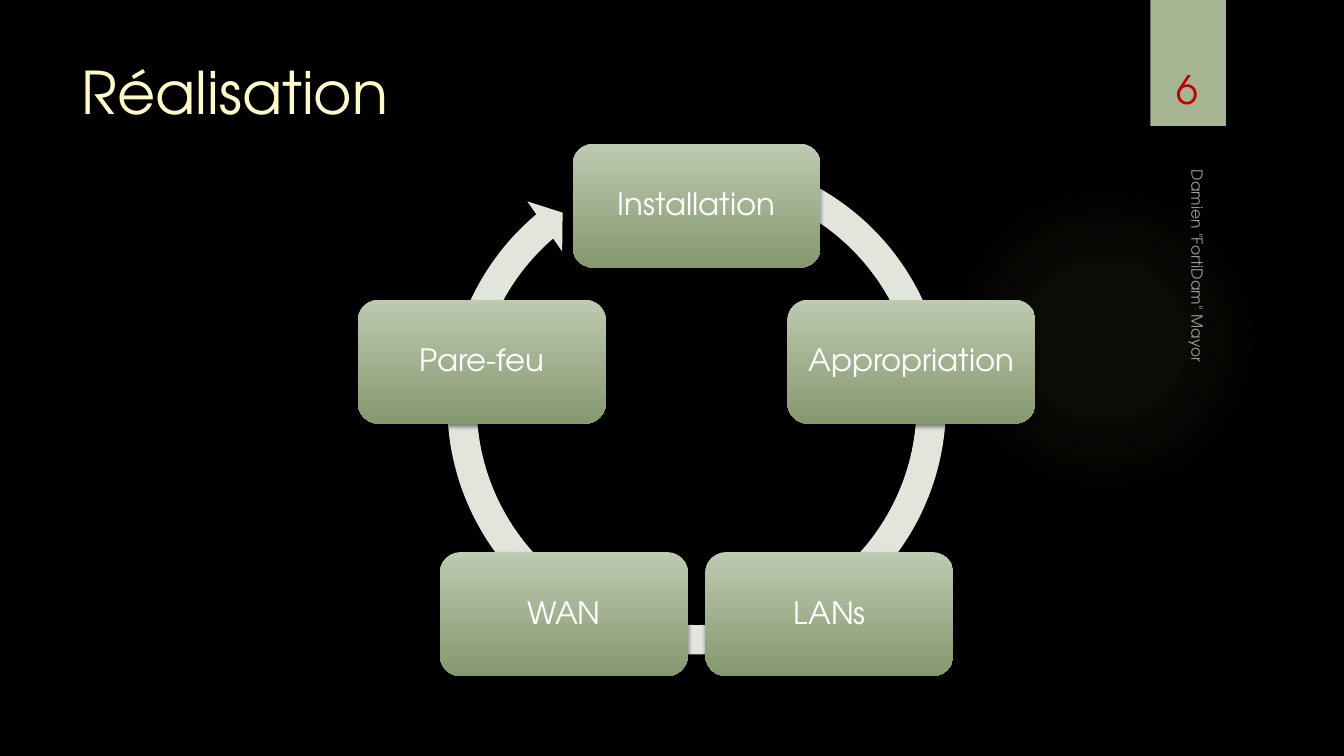
import math
import lxml.etree
import pptx
import pptx.util
import pptx.oxml
import pptx.oxml.ns
import pptx.dml.color
import pptx.enum.shapes
import pptx.enum.text

TITLE = "Réalisation"
AUTHOR = 'Damien "FortiDam" Mayor'
NUMBER = "6"
STEPS = ["Installation", "Appropriation", "LANs", "WAN", "Pare-feu"]

FONT = "TeX Gyre Adventor"
COLORS = {
    "background": "000000",
    "title": "FEFAC9",
    "white": "FFFFFF",
    "number": "C00000",
    "tab": "A5B592",
    "glow": "9EB160",
    "ring": "E1E5DC",
    "box_top": "BECAB1",
    "box_bottom": "85986E",
    "shadow": "000000",
}
CENTER_X, CENTER_Y, RADIUS = 6.91, 4.28, 2.24
BOX_W, BOX_H = 2.46, 1.23
RING_SIZE = 5.26
RING_TOP = 1.39

Inches = pptx.util.Inches
SHAPE = pptx.enum.shapes.MSO_SHAPE
ANCHOR = pptx.enum.text.MSO_ANCHOR
ALIGN = pptx.enum.text.PP_ALIGN
NS = pptx.oxml.ns.nsdecls("a")


def rgb(name):
    return pptx.dml.color.RGBColor.from_string(COLORS[name])


def color_xml(name, alpha):
    return f'<a:srgbClr val="{COLORS[name]}"><a:alpha val="{alpha * 1000}"/></a:srgbClr>'


def add_shape(s, kind, box, fill=None, shadow=True):
    sp = s.shapes.add_shape(kind, *map(Inches, box))
    sp.line.fill.background()
    sp.shadow.inherit = False
    if fill:
        sp.fill.solid()
        sp.fill.fore_color.rgb = rgb(fill)
    else:
        sp.fill.background()
    if shadow:
        effects = sp._element.spPr.find(pptx.oxml.ns.qn("a:effectLst"))
        effects.append(pptx.oxml.parse_xml(
            f'<a:outerShdw {NS} blurRad="{pptx.util.Pt(3)}" dist="{pptx.util.Pt(2)}" '
            f'dir="5400000" rotWithShape="0">{color_xml("shadow", 45)}</a:outerShdw>'))
    return sp


def set_gradient(sp, stops, direction):
    stops_xml = "".join(
        f'<a:gs pos="{pos * 1000}">{color_xml(name, alpha)}</a:gs>' for pos, name, alpha in stops)
    gradient = pptx.oxml.parse_xml(
        f'<a:gradFill {NS} rotWithShape="1"><a:gsLst>{stops_xml}</a:gsLst>{direction}</a:gradFill>')
    sp_pr = sp._element.spPr
    sp_pr.replace(sp_pr.find(pptx.oxml.ns.qn("a:noFill")), gradient)


def write(sp, text, size, color, anchor=ANCHOR.TOP, align=ALIGN.LEFT, wrap=True,
          spacing=None, margin=None, alpha=None):
    tf = sp.text_frame
    tf.word_wrap = wrap
    tf.auto_size = pptx.enum.text.MSO_AUTO_SIZE.NONE
    tf.vertical_anchor = anchor
    if margin is not None:
        tf.margin_left = tf.margin_right = tf.margin_top = tf.margin_bottom = Inches(margin)
    p = tf.paragraphs[0]
    p.alignment = align
    if spacing:
        p.line_spacing = spacing
    r = p.add_run()
    r.text = text
    r.font.size = pptx.util.Pt(size)
    r.font.name = FONT
    r.font.color.rgb = rgb(color)
    if alpha:
        clr = r._r.rPr.find(".//" + pptx.oxml.ns.qn("a:srgbClr"))
        lxml.etree.SubElement(clr, pptx.oxml.ns.qn("a:alpha")).set("val", str(alpha * 1000))


def add_frame(s):
    glow = add_shape(s, SHAPE.OVAL, (9.41, 1.83, 3.08, 3.08), shadow=False)
    set_gradient(glow, [(0, "glow", 7), (36, "glow", 6), (69, "glow", 0)],
                 '<a:path path="circle"><a:fillToRect l="50000" t="50000" r="50000" b="50000"/></a:path>')
    add_shape(s, SHAPE.RECTANGLE, (11.41, 0, 0.75, 1.25), fill="tab")

    title = s.shapes.title
    title.left, title.top, title.width, title.height = map(Inches, (0.71, 0.5, 10.29, 1.53))
    write(title, TITLE, 42, "title")

    author = s.shapes.add_textbox(*map(Inches, (9.79, 3.53, 4.22, 0.33)))
    author.rotation = 90
    write(author, AUTHOR, 11, "white", anchor=ANCHOR.BOTTOM, alpha=60)

    number = s.shapes.add_textbox(*map(Inches, (11.32, 0.32, 0.92, 0.84)))
    write(number, NUMBER, 28, "number", anchor=ANCHOR.BOTTOM, align=ALIGN.CENTER)


def add_cycle(s):
    ring = add_shape(s, SHAPE.CIRCULAR_ARROW,
                     (CENTER_X - RING_SIZE / 2, RING_TOP, RING_SIZE, RING_SIZE), fill="ring")
    thickness, head_angle, end_angle, start_angle, head_width = 5.54, 5.51, 229.65, 289.73, 5.76
    settings = [thickness / 100, head_angle * 0.6, end_angle * 0.6, start_angle * 0.6, head_width / 100]
    for i, value in enumerate(settings):
        ring.adjustments[i] = value

    for i, step in enumerate(STEPS):
        angle = 2 * math.pi * i / len(STEPS)
        x = CENTER_X + RADIUS * math.sin(angle) - BOX_W / 2
        y = CENTER_Y - RADIUS * math.cos(angle) - BOX_H / 2
        box = add_shape(s, SHAPE.ROUNDED_RECTANGLE, (x, y, BOX_W, BOX_H))
        set_gradient(box, [(0, "box_top", 100), (100, "box_bottom", 100)],
                     '<a:lin ang="5400000" scaled="0"/>')
        write(box, step, 22, "white", anchor=ANCHOR.MIDDLE, align=ALIGN.CENTER,
              spacing=0.9, margin=0.09)


def main():
    prs = pptx.Presentation()
    prs.slide_width, prs.slide_height = Inches(13.33), Inches(7.5)
    s = prs.slides.add_slide(prs.slide_layouts[5])
    s.background.fill.solid()
    s.background.fill.fore_color.rgb = rgb("background")
    add_frame(s)
    add_cycle(s)
    prs.save("out.pptx")


if __name__ == "__main__":
    main()
